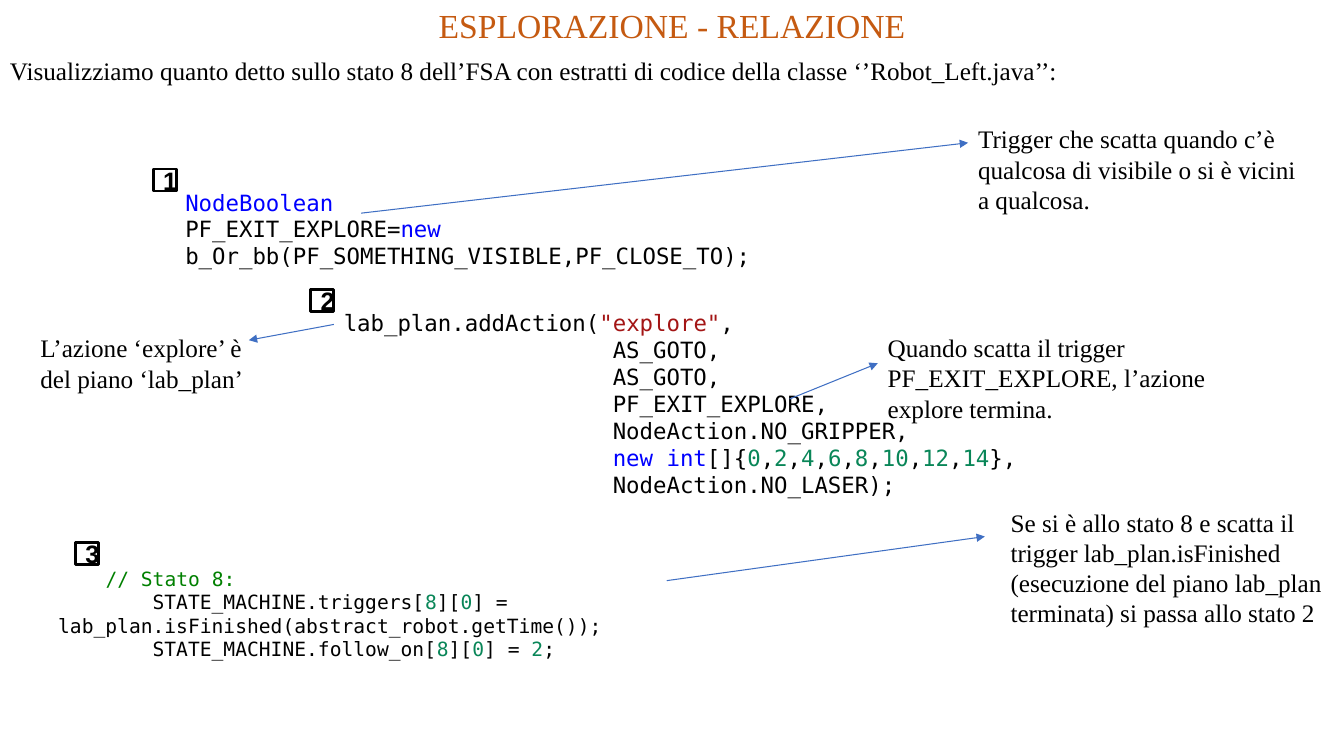
import pptx
import pptx.util
import pptx.dml.color
import pptx.enum.shapes
import pptx.enum.text
import pptx.oxml

PX = 9525  # EMU in one px, 96 px to the inch
HUES = {
    "ink": "000000", "paper": "FFFFFF", "title": "C55A11", "arrow": "3F6FC3",
    "word": "0000FF", "text": "A31515", "num": "098658", "note": "008000",
}
FONTS = {
    "title": {"name": "Times New Roman", "size": pptx.util.Pt(24)},
    "prose": {"name": "Times New Roman", "size": pptx.util.Pt(18)},
    "code": {"name": "DejaVu Sans Mono", "size": pptx.util.Pt(16)},
    "small": {"name": "DejaVu Sans Mono", "size": pptx.util.Pt(14)},
    "badge": {"name": "Arial", "size": pptx.util.Pt(18), "bold": True},
}
ALIGN = pptx.enum.text.PP_ALIGN
ANCHOR = pptx.enum.text.MSO_ANCHOR
DRAW = 'xmlns:a="http://schemas.openxmlformats.org/drawingml/2006/main"'


def hue(key):
    return pptx.dml.color.RGBColor.from_string(HUES[key])


def put(thing, form):
    for name, value in form.items():
        setattr(thing, name, value)


class Board:
    """Holds the slide and the style it is drawn in."""

    def __init__(self, deck):
        self.slide = deck.slides.add_slide(deck.slide_layouts[5])
        self.shapes = self.slide.shapes

    def fill_text(self, shape, lines, style, align=ALIGN.LEFT, anchor=ANCHOR.TOP, color="ink"):
        """Each line is a list of plain strings and (string, colour) pairs."""
        frame = shape.text_frame
        put(frame, {"word_wrap": True, "vertical_anchor": anchor,
                    "auto_size": pptx.enum.text.MSO_AUTO_SIZE.NONE})
        for index, line in enumerate(lines):
            para = frame.add_paragraph() if index else frame.paragraphs[0]
            para.alignment = align
            for part in line:
                words, key = (part, color) if isinstance(part, str) else part
                run = para.add_run()
                run.text = words
                put(run.font, FONTS[style])
                run.font.color.rgb = hue(key)

    def title(self, area, words):
        shape = self.shapes.title
        put(shape, dict(zip(("left", "top", "width", "height"), [n * PX for n in area])))
        self.fill_text(shape, [[words]], "title", ALIGN.CENTER, color="title")

    def text(self, area, lines, style="prose", align=ALIGN.LEFT):
        box = self.shapes.add_textbox(*[n * PX for n in area])
        self.fill_text(box, lines, style, align)

    def badge(self, left, top, words):
        kind = pptx.enum.shapes.MSO_SHAPE.RECTANGLE
        box = self.shapes.add_shape(kind, left * PX, top * PX, 22 * PX, 21 * PX)
        box.shadow.inherit = False
        box.fill.solid()
        box.fill.fore_color.rgb = hue("paper")
        box.line.color.rgb = hue("ink")
        box.line.width = pptx.util.Pt(2)
        self.fill_text(box, [[words]], "badge", ALIGN.CENTER, ANCHOR.MIDDLE)

    def arrow(self, *ends):
        kind = pptx.enum.shapes.MSO_CONNECTOR.STRAIGHT
        link = self.shapes.add_connector(kind, *[n * PX for n in ends])
        link.line.color.rgb = hue("arrow")
        link.line.width = pptx.util.Pt(0.75)
        link.line._get_or_add_ln().append(
            pptx.oxml.parse_xml(f'<a:tailEnd {DRAW} type="triangle"/>'))
        link._element.spPr.append(pptx.oxml.parse_xml(f"<a:effectLst {DRAW}/>"))


def main():
    deck = pptx.Presentation()
    put(deck, {"slide_width": 1280 * PX, "slide_height": 720 * PX})
    board = Board(deck)

    # Heading
    board.title((0, 0, 1280, 48), "ESPLORAZIONE - RELAZIONE")
    board.text((0, 48, 1280, 38), [[
        "Visualizziamo quanto detto sullo stato 8 dell’FSA con estratti di codice "
        "della classe ‘’Robot_Left.java’’:"]], align=ALIGN.JUSTIFY)

    # Code 1: the trigger
    board.text((167, 175, 757, 61), [
        [("NodeBoolean", "word")],
        ["PF_EXIT_EXPLORE=", ("new ", "word"),
         "b_Or_bb(PF_SOMETHING_VISIBLE,PF_CLOSE_TO);"],
    ], "code")

    # Code 2: the action, its arguments indented
    pad = " " * 20
    sonars = []
    for num in range(0, 15, 2):
        sonars += [",", (str(num), "num")]
    board.text((318, 290, 781, 191), [
        ["lab_plan.addAction(", ('"explore"', "text"), ","],
        [pad + "AS_GOTO,"],
        [pad + "AS_GOTO,"],
        [pad + "PF_EXIT_EXPLORE,"],
        [pad + "NodeAction.NO_GRIPPER,"],
        [pad, ("new int", "word"), "[]{", *sonars[1:], "},"],
        [pad + "NodeAction.NO_LASER);"],
    ], "code")

    # Code 3: the state change
    state = [("8", "num"), "][", ("0", "num")]
    board.text((46, 535, 907, 78), [
        ["    ", ("// Stato 8:", "note")],
        ["        STATE_MACHINE.triggers[", *state,
         "] = lab_plan.isFinished(abstract_robot.getTime());"],
        ["        STATE_MACHINE.follow_on[", *state, "] = ", ("2", "num"), ";"],
    ], "small")

    # Remarks beside the code
    for area, words in (
        ((922, 113, 326, 97),
         "Trigger che scatta quando c’è qualcosa di visibile o si è vicini a qualcosa."),
        ((836, 312, 326, 97),
         "Quando scatta il trigger PF_EXIT_EXPLORE, l’azione explore termina."),
        ((29, 312, 233, 68), "L’azione ‘explore’ è del piano ‘lab_plan’"),
        ((953, 478, 326, 126),
         "Se si è allo stato 8 e scatta il trigger lab_plan.isFinished "
         "(esecuzione del piano lab_plan terminata) si passa allo stato 2"),
    ):
        board.text(area, [[words]])

    # Numbers of the code parts
    for num, spot in enumerate(((146, 161), (296, 276), (72, 517)), 1):
        board.badge(*spot, str(num))

    # Arrows from code to remark
    for ends in ((344, 203, 922, 136), (752, 380, 836, 346),
                 (318, 309, 237, 324), (635, 553, 938, 511)):
        board.arrow(*ends)

    deck.save("out.pptx")


if __name__ == "__main__":
    main()
